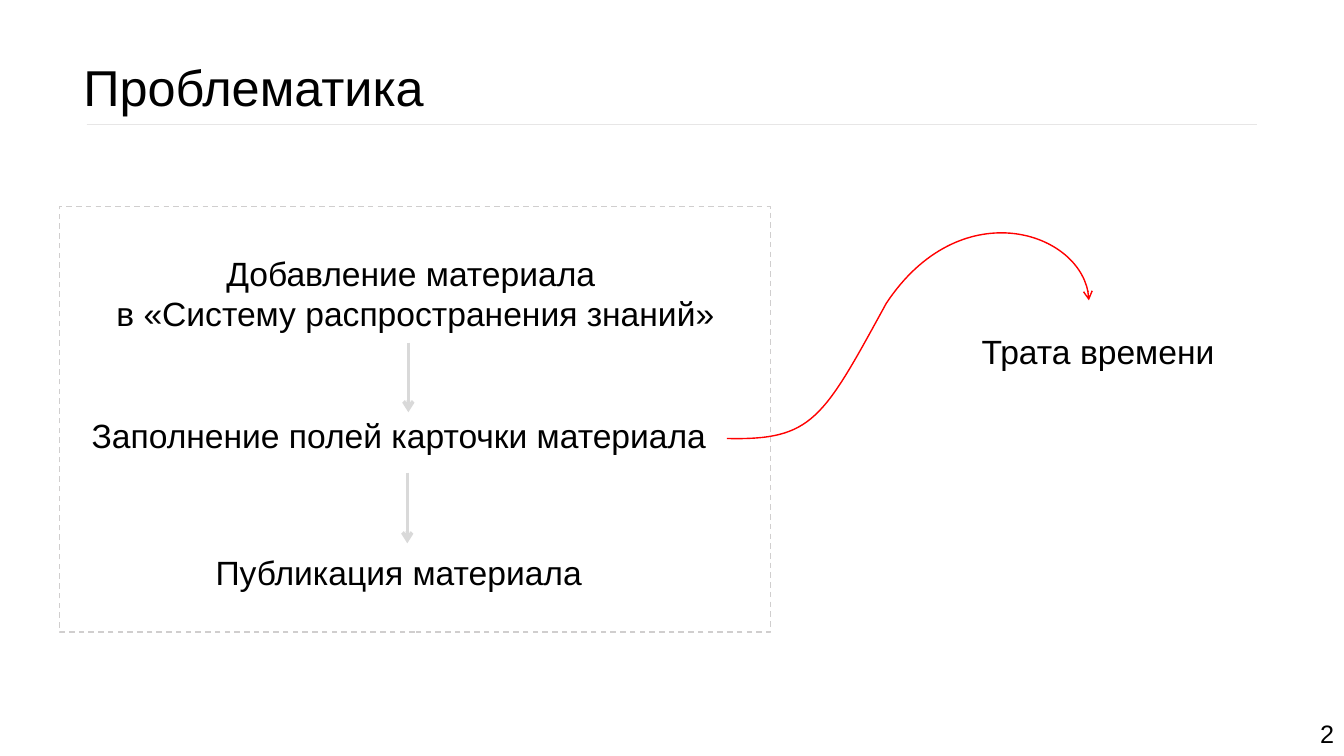
from lxml import etree
from pptx import Presentation
from pptx.dml.color import RGBColor as RGB
from pptx.enum.dml import MSO_LINE as Dash
from pptx.enum.shapes import MSO_CONNECTOR as Conn, MSO_SHAPE as Shape
from pptx.enum.text import MSO_AUTO_SIZE as Fit, PP_ALIGN as Align
from pptx.oxml.ns import qn
from pptx.util import Pt

PX = 9144  # 100 px to the inch
FONT = "Arial"
HEX = {"text": "000000", "arrow": "D9D9D9", "frame": "D0CECE",
       "curve": "FF0000", "rule": "E7E6E6"}

# Content: lines, (left, top, width, height), size, alignment
TEXTS = [
    (["Проблематика"], (73, 51, 484, 71), 36, Align.LEFT),
    (["2"], (1189, 708, 144, 40), 18, Align.RIGHT),
    (["Добавление материала ", "в «Систему распространения знаний»"],
     (93, 246, 638, 91), 24, Align.CENTER),
    (["Заполнение полей карточки материала"], (81, 407, 638, 50), 24, Align.LEFT),
    (["Публикация материала"], (204, 543, 427, 50), 24, Align.LEFT),
    (["Трата времени"], (943, 323, 292, 50), 24, Align.CENTER),
]
# Lines: start, end, colour, weight, arrowhead
LINES = [
    ((405, 340), (405, 409), "arrow", 2.5, True),
    ((404, 469), (404, 539), "arrow", 2.5, True),
    ((86, 123), (1247, 123), "rule", 0.5, False),
]
FRAME = (59, 205, 705, 422)
START = (721, 435)
PEAK = (1000, 233)
BENDS = [[(806, 437), (816, 416), (879, 301)],
         [(951, 192), (1078, 231), (1080, 298)]]


def emu(nums):
    return [n * PX for n in nums]


def paint(line, color, width):
    line.color.rgb = RGB.from_string(HEX[color])
    line.width = Pt(width)


def point(line):
    etree.SubElement(line._get_or_add_ln(), qn("a:tailEnd"), type="arrow")


def add_text(shapes, rows, box, size, align):
    frame = shapes.add_textbox(*emu(box)).text_frame
    frame.word_wrap = True
    frame.auto_size = Fit.SHAPE_TO_FIT_TEXT
    frame.text = "\n".join(rows)
    for para in frame.paragraphs:
        para.alignment = align
        for run in para.runs:
            run.font.name = FONT
            run.font.size = Pt(size)
            run.font.color.rgb = RGB.from_string(HEX["text"])


def add_line(shapes, start, end, color, width, head):
    link = shapes.add_connector(Conn.STRAIGHT, *emu(start + end))
    paint(link.line, color, width)
    if head:
        point(link.line)
    etree.SubElement(link._element.spPr, qn("a:effectLst"))


def add_curve(shapes):
    # Knots and peak set the bounds
    pen = shapes.build_freeform(*START, scale=PX)
    pen.add_line_segments([BENDS[0][-1], PEAK, BENDS[1][-1]], close=False)
    curve = pen.convert_to_shape()
    curve.shadow.inherit = False
    curve.fill.background()
    paint(curve.line, "curve", 1)
    point(curve.line)

    # Bezier segments take the place of the straight ones
    track = curve._element.spPr.find(".//" + qn("a:path"))
    for seg in track.findall(qn("a:lnTo")):
        track.remove(seg)
    left, top = START[0], PEAK[1]
    unit = int(track.get("w")) / (BENDS[1][-1][0] - left)
    for bend in BENDS:
        seg = etree.SubElement(track, qn("a:cubicBezTo"))
        for x, y in bend:
            etree.SubElement(seg, qn("a:pt"), x=str(round((x - left) * unit)),
                             y=str(round((y - top) * unit)))


def main():
    deck = Presentation()
    deck.slide_width, deck.slide_height = emu((1333, 750))
    shapes = deck.slides.add_slide(deck.slide_layouts[6]).shapes

    # Dashed frame around the steps
    frame = shapes.add_shape(Shape.RECTANGLE, *emu(FRAME))
    frame.shadow.inherit = False
    frame.fill.background()
    paint(frame.line, "frame", 1)
    frame.line.dash_style = Dash.DASH

    # Text, lines and the red curve
    for item in TEXTS:
        add_text(shapes, *item)
    for item in LINES:
        add_line(shapes, *item)
    add_curve(shapes)
    deck.save("out.pptx")


if __name__ == "__main__":
    main()
